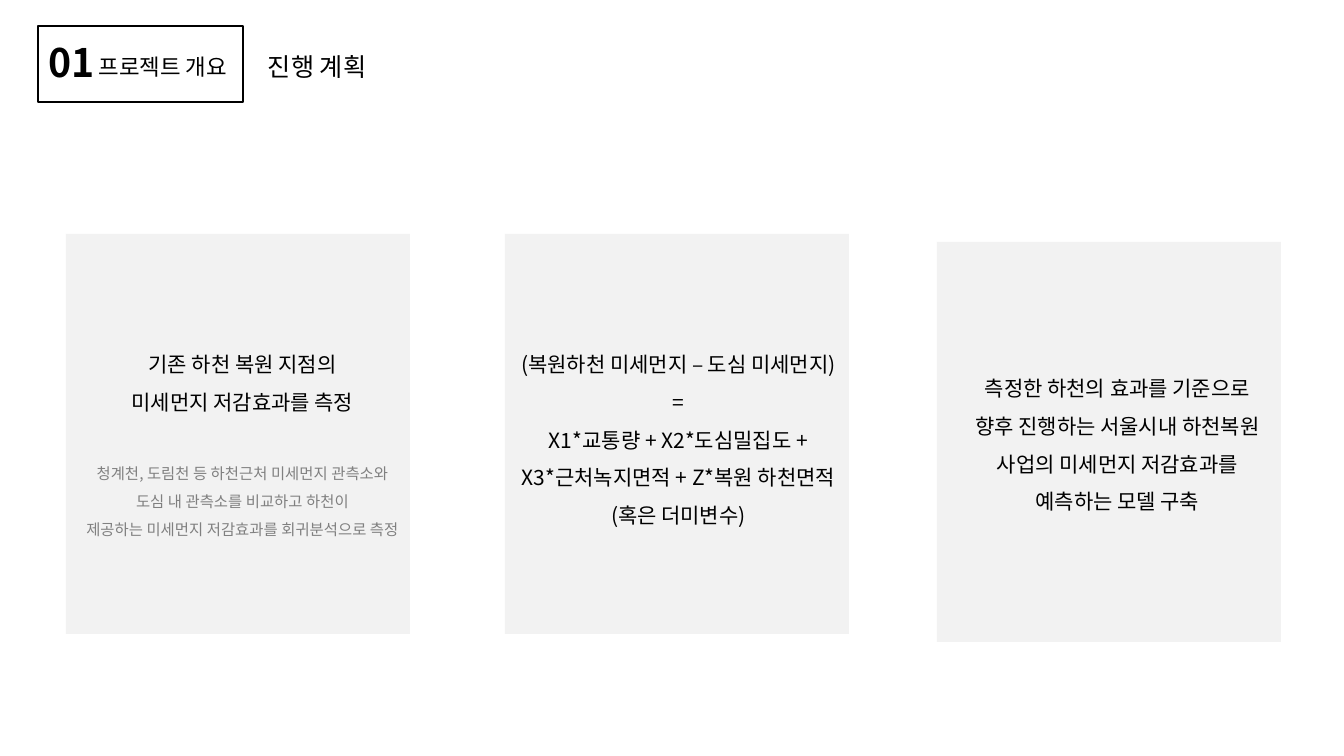
import pptx
import pptx.dml.color
import pptx.enum.shapes
import pptx.enum.text
import pptx.oxml.ns
import pptx.util
from lxml import etree

FONT = "Noto Sans CJK KR"
COLORS = {"ink": "000000", "note": "808080", "card": "F2F2F2"}
EMU_PER_PX = 914400 / 100.8

SECTION_NUMBER = "01"
SECTION = "프로젝트 개요"
TITLE = "진행 계획"

CARD_SIZE = (344, 400)
BODY_WIDTH = 537
BODY_PT, NOTE_PT, NOTE_GAP_PT = 15, 11, 29
CARDS = [
    {
        "card_at": (66, 234), "body_at": (-26, 334), "body_height": 230,
        "lines": ["기존 하천 복원 지점의", "미세먼지 저감효과를 측정"],
        "notes": [
            "청계천, 도림천 등 하천근처 미세먼지 관측소와",
            "도심 내 관측소를 비교하고 하천이",
            "제공하는 미세먼지 저감효과를 회귀분석으로 측정",
        ],
    },
    {
        "card_at": (505, 234), "body_at": (410, 334), "body_height": 198,
        "lines": [
            "(복원하천 미세먼지 – 도심 미세먼지)",
            "=",
            "X1*교통량 + X2*도심밀집도 +",
            "X3*근처녹지면적 + Z*복원 하천면적",
            "(혹은 더미변수)",
        ],
        "notes": [],
    },
    {
        "card_at": (937, 242), "body_at": (849, 358), "body_height": 188,
        "lines": [
            "측정한 하천의 효과를 기준으로",
            "향후 진행하는 서울시내 하천복원",
            "사업의 미세먼지 저감효과를",
            "예측하는 모델 구축",
        ],
        "notes": [],
    },
]


def px(length):
    return pptx.util.Emu(round(length * EMU_PER_PX))


def rgb(name):
    return pptx.dml.color.RGBColor.from_string(COLORS[name])


def add_rectangle(slide, *box):
    rectangle = slide.shapes.add_shape(
        pptx.enum.shapes.MSO_SHAPE.RECTANGLE, *map(px, box))
    rectangle.shadow.inherit = False
    return rectangle


def add_text(slide, box, lines, centred=True, spacing=1.0):
    """Each line is (text, point size, colour name, bold, points before)."""
    frame = slide.shapes.add_textbox(*map(px, box)).text_frame
    frame.word_wrap = True
    for index, (text, size, color, bold, before) in enumerate(lines):
        paragraph = frame.paragraphs[0] if index == 0 else frame.add_paragraph()
        paragraph.text = text
        paragraph.line_spacing = spacing
        if before:
            paragraph.space_before = pptx.util.Pt(before)
        if centred:
            paragraph.alignment = pptx.enum.text.PP_ALIGN.CENTER
        font = paragraph.font
        font.size = pptx.util.Pt(size)
        font.bold = bold
        font.color.rgb = rgb(color)
        font.name = FONT
        properties = paragraph._p.pPr.find(pptx.oxml.ns.qn("a:defRPr"))
        etree.SubElement(properties, pptx.oxml.ns.qn("a:ea"), typeface=FONT)


def add_card(slide, card):
    panel = add_rectangle(slide, *card["card_at"], *CARD_SIZE)
    panel.fill.solid()
    panel.fill.fore_color.rgb = rgb("card")
    panel.line.fill.background()
    lines = [(text, BODY_PT, "ink", False, 0) for text in card["lines"]]
    lines += [(text, NOTE_PT, "note", False, 0 if index else NOTE_GAP_PT)
              for index, text in enumerate(card["notes"])]
    add_text(slide, (*card["body_at"], BODY_WIDTH, card["body_height"]),
             lines, spacing=1.5)


def add_header(slide):
    add_text(slide, (258, 46, 367, 40), [(TITLE, 18, "ink", False, 0)],
             centred=False)
    add_text(slide, (36, 33, 72, 57), [(SECTION_NUMBER, 28, "ink", True, 0)])
    frame = add_rectangle(slide, 38, 26, 205, 76)
    frame.fill.background()
    frame.line.color.rgb = rgb("ink")
    frame.line.width = pptx.util.Pt(2)
    add_text(slide, (66, 48, 194, 37), [(SECTION, 16, "ink", False, 0)])


def main():
    deck = pptx.Presentation()
    deck.slide_width, deck.slide_height = px(1344), px(756)
    slide = deck.slides.add_slide(deck.slide_layouts[6])
    for card in CARDS:
        add_card(slide, card)
    add_header(slide)
    deck.save("out.pptx")


if __name__ == "__main__":
    main()
